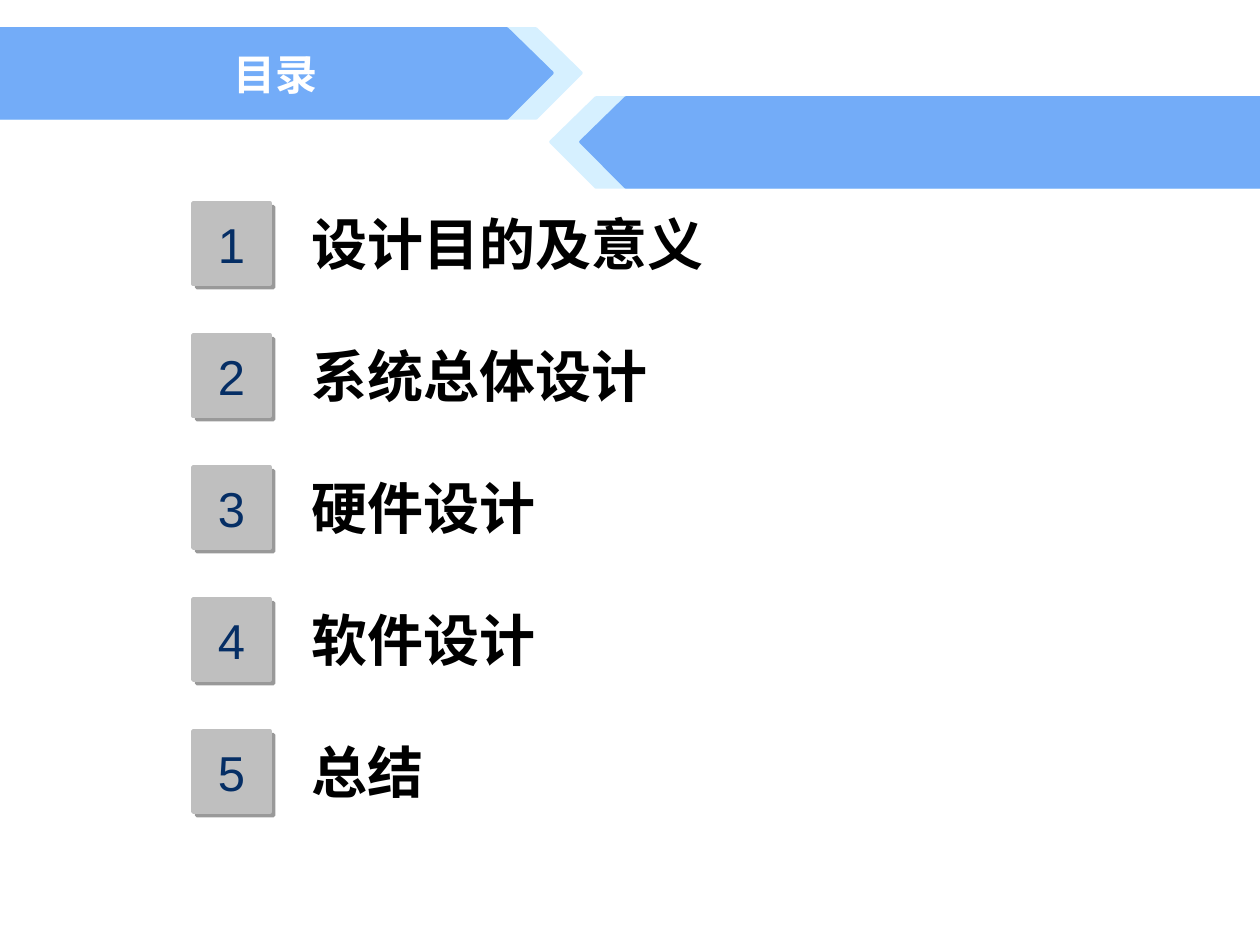
from lxml import etree
from pptx import Presentation
from pptx import util as u
from pptx.dml.color import RGBColor
from pptx.enum import shapes, text
from pptx.oxml import ns

SCALE = 914400 / 126
WIDTH, HEIGHT = 1260, 945
CJK_FONT = "Noto Sans CJK SC"
BLUE, PALE_BLUE = "73ACF8", "D6F0FF"
TOPICS = ["设计目的及意义", "系统总体设计", "硬件设计", "软件设计", "总结"]
ROW_TOP, ROW_STEP, ROW_HEIGHT = 203, 132, 81


def px(n):
    return u.Emu(round(n * SCALE))


def color(value):
    return RGBColor.from_string(value)


def paint(sp, value):
    sp.shadow.inherit = False
    sp.fill.solid()
    sp.fill.fore_color.rgb = color(value)
    sp.line.color.rgb = color(value)
    sp.line.width = u.Pt(2)


def add_sub(parent, tag, **attrs):
    return etree.SubElement(parent, ns.qn(tag), attrs)


def add_shadow(sp):
    effects = sp._element.spPr.find(ns.qn("a:effectLst"))
    shadow = add_sub(effects, "a:outerShdw", blurRad="0", dist="38100", dir="2700000")
    black = add_sub(shadow, "a:srgbClr", val="000000")
    add_sub(black, "a:alpha", val="40000")


def set_text(sp, content, size, font, value, bold=False, centered=False):
    tf = sp.text_frame
    tf.word_wrap = True
    tf.text = content
    p = tf.paragraphs[0]
    p.alignment = text.PP_ALIGN.CENTER if centered else text.PP_ALIGN.LEFT
    tf.vertical_anchor = text.MSO_ANCHOR.MIDDLE if centered else text.MSO_ANCHOR.TOP
    r = p.runs[0]
    r.font.size = u.Pt(size)
    r.font.name = font
    r.font.bold = bold
    r.font.color.rgb = color(value)
    add_sub(r._r.get_or_add_rPr(), "a:ea", typeface=font)


def add_arrow(s, edge, tip, top, value):
    shoulder = tip - 45 if edge < tip else tip + 45
    bottom = top + 89
    builder = s.shapes.build_freeform(edge, top, scale=SCALE)
    builder.add_line_segments(
        [(shoulder, top), (tip, top + 44), (shoulder, bottom), (edge, bottom)]
    )
    sp = builder.convert_to_shape()
    paint(sp, value)
    return sp


def add_topic(s, number, topic):
    top = px(ROW_TOP + (number - 1) * ROW_STEP)
    row = s.shapes.add_group_shape().shapes
    box = row.add_shape(
        shapes.MSO_SHAPE.RECTANGLE, px(193), top, px(77), px(ROW_HEIGHT)
    )
    paint(box, "BFBFBF")
    add_shadow(box)
    set_text(box, str(number), 28, "Arial", "052E65", centered=True)
    label = row.add_textbox(px(299), top, px(808), px(ROW_HEIGHT))
    set_text(label, topic, 32, CJK_FONT, "000000", bold=True)
    label.text_frame.auto_size = text.MSO_AUTO_SIZE.SHAPE_TO_FIT_TEXT


def main():
    prs = Presentation()
    prs.slide_width, prs.slide_height = px(WIDTH), px(HEIGHT)
    s = prs.slides.add_slide(prs.slide_layouts[6])
    add_arrow(s, 0, 581, 29, PALE_BLUE)
    title = add_arrow(s, 0, 552, 29, BLUE)
    set_text(title, "目录", 24, CJK_FONT, "FFFFFF", bold=True, centered=True)
    add_arrow(s, WIDTH, 551, 98, PALE_BLUE)
    add_arrow(s, WIDTH, 581, 98, BLUE)
    for number, topic in enumerate(TOPICS, 1):
        add_topic(s, number, topic)
    prs.save("out.pptx")


if __name__ == "__main__":
    main()
